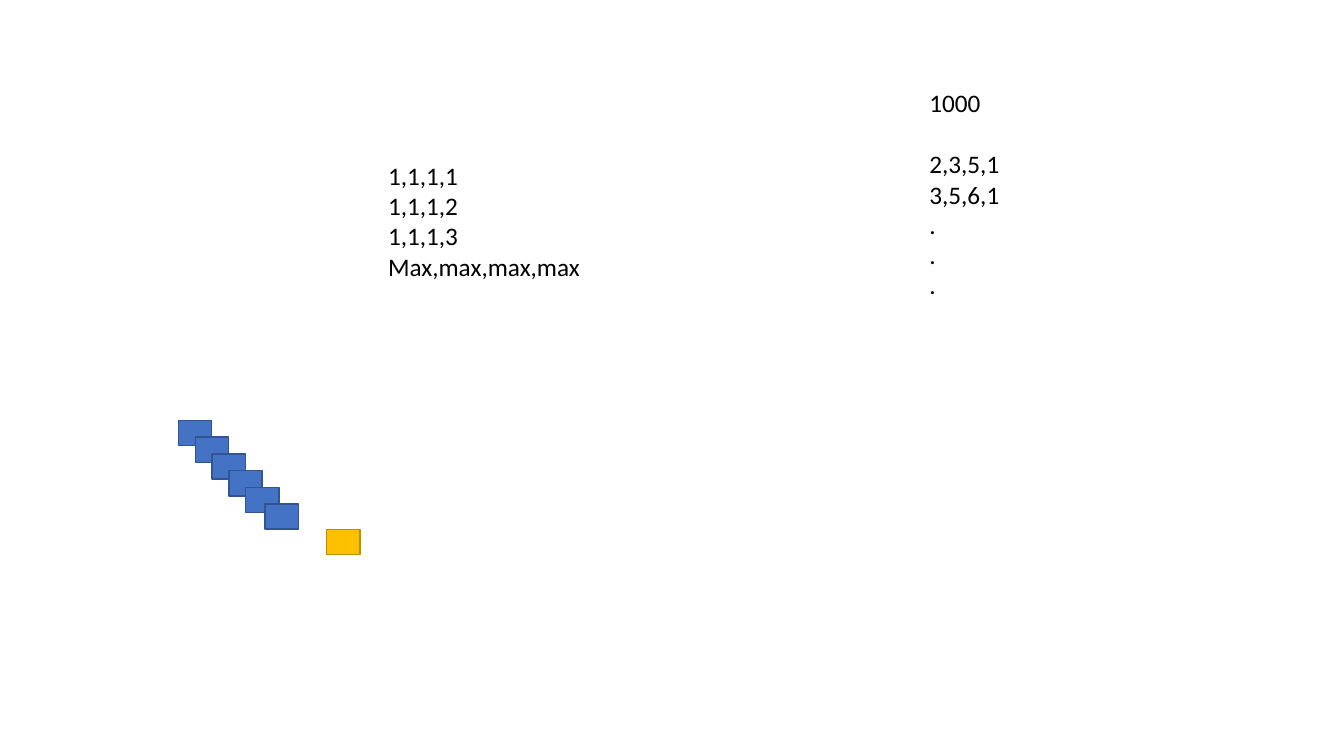
"""Build a slide with two number lists and a staircase of tiles."""

from dataclasses import dataclass

from pptx import Presentation
from pptx.dml.color import RGBColor as Color
from pptx.enum.shapes import MSO_SHAPE as Preset
from pptx.enum.text import MSO_AUTO_SIZE as AutoSize
from pptx.slide import Slide
from pptx.util import Inches, Pt


@dataclass(frozen=True)
class Theme:
    font: str = "Calibri"
    text_size: float = 18
    line_width: float = 1
    text: str = "000000"
    blue: str = "4472C4"
    blue_line: str = "325491"
    gold: str = "FFC000"
    gold_line: str = "BD8E00"


@dataclass(frozen=True)
class NumberList:
    left: float
    top: float
    width: float
    height: float
    lines: tuple[str, ...]
    gap_before: str = ""


@dataclass(frozen=True)
class Tile:
    left: float
    top: float
    fill: str
    line: str


THEME = Theme()
TILE_WIDTH, TILE_HEIGHT = 0.33, 0.25
STAIR_STEP = 1 / 6
LIST_GAP = 22

LISTS = (
    NumberList(3.75, 1.54, 2.12, 1.31,
               ("1,1,1,1", "1,1,1,2", "1,1,1,3", "Max,max,max,max")),
    NumberList(9.12, 0.82, 0.9, 2.52,
               ("1000", "2,3,5,1", "3,5,6,1", ".", ".", "."),
               gap_before="2,3,5,1"),
)
TILES = (
    *(Tile(1.77 + step * STAIR_STEP, 4.17 + step * STAIR_STEP,
           THEME.blue, THEME.blue_line) for step in range(5)),
    Tile(3.24, 5.25, THEME.gold, THEME.gold_line),
    Tile(2.63, 5, THEME.blue, THEME.blue_line),
)


def draw_list(page: Slide, item: NumberList) -> None:
    """Draw a text box with one paragraph per line."""
    box = page.shapes.add_textbox(Inches(item.left), Inches(item.top),
                                  Inches(item.width), Inches(item.height))
    frame = box.text_frame
    frame.text = "\n".join(item.lines)
    frame.word_wrap = False
    frame.auto_size = AutoSize.SHAPE_TO_FIT_TEXT
    for para in frame.paragraphs:
        if para.text == item.gap_before:
            para.space_before = Pt(LIST_GAP)
        for span in para.runs:
            span.font.name = THEME.font
            span.font.size = Pt(THEME.text_size)
            span.font.color.rgb = Color.from_string(THEME.text)


def draw_tile(page: Slide, tile: Tile) -> None:
    """Draw a filled and outlined rectangle."""
    box = page.shapes.add_shape(Preset.RECTANGLE,
                                Inches(tile.left), Inches(tile.top),
                                Inches(TILE_WIDTH), Inches(TILE_HEIGHT))
    box.shadow.inherit = False
    box.fill.solid()
    box.fill.fore_color.rgb = Color.from_string(tile.fill)
    box.line.color.rgb = Color.from_string(tile.line)
    box.line.width = Pt(THEME.line_width)


def main() -> None:
    """Build and save the deck."""
    deck = Presentation()
    deck.slide_width, deck.slide_height = Inches(13.33), Inches(7.5)
    page = deck.slides.add_slide(deck.slide_layouts[6])
    for item in LISTS:
        draw_list(page, item)
    for tile in TILES:
        draw_tile(page, tile)
    deck.save("out.pptx")


if __name__ == "__main__":
    main()
